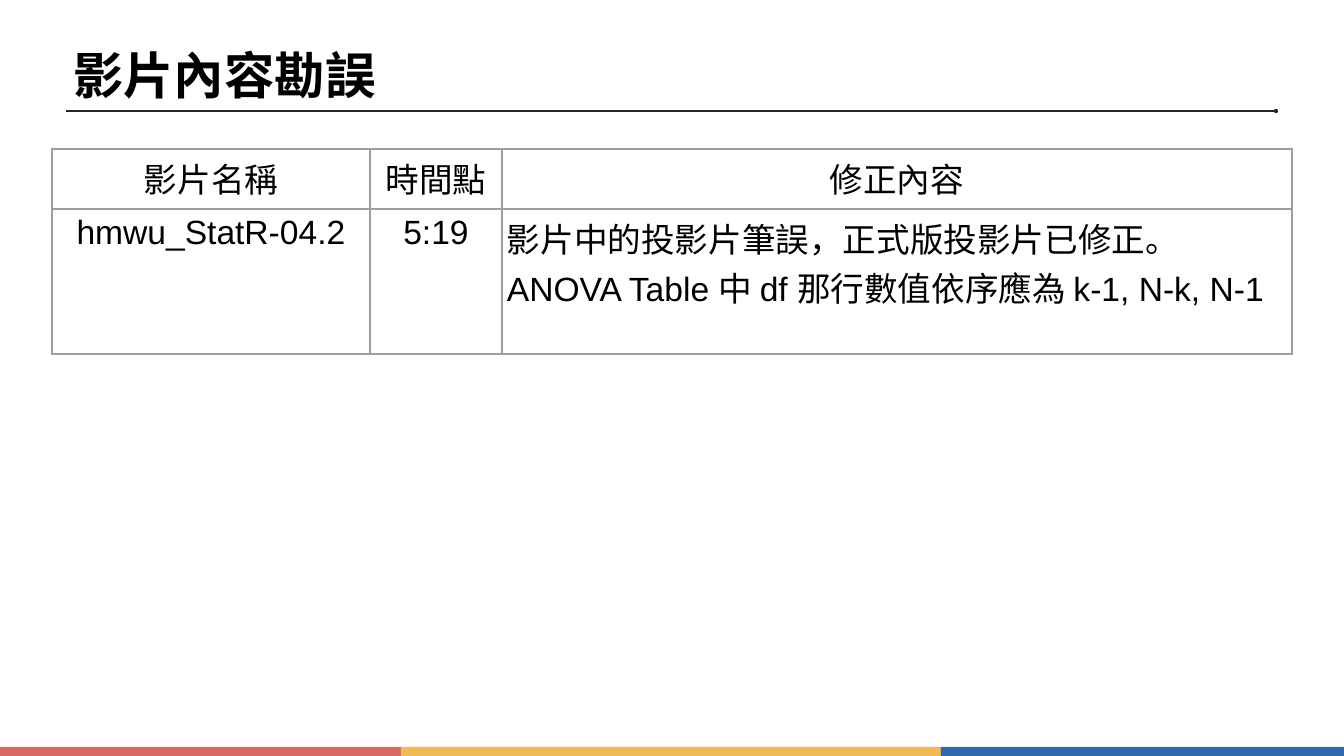
from dataclasses import dataclass
from itertools import pairwise

from lxml import etree
from pptx import Presentation
from pptx.dml.color import RGBColor as Rgb
from pptx.enum.shapes import MSO_CONNECTOR as Connector, MSO_SHAPE as Shape
from pptx.enum.text import MSO_ANCHOR as Anchor, MSO_AUTO_SIZE as AutoSize, PP_ALIGN as Align
from pptx.oxml.ns import qn
from pptx.util import Pt

WIDTH, HEIGHT = 1344, 756
EMU_PER_PX = 914400 / 50.4


def px(length):
    return round(length * EMU_PER_PX)


@dataclass(frozen=True)
class Theme:
    font: str = "Arial"
    text: str = "000000"
    rule: str = "262627"
    border: str = "9E9E9E"
    stripes: tuple = ("D66962", "EFBA57", "3068AA")
    title_size: int = 72
    cell_size: int = 48
    rule_width: int = 2
    border_width: int = 3


def write(frame, text, *, theme, size, bold=False, align=Align.LEFT,
          anchor=Anchor.TOP, inset=5):
    frame.word_wrap = True
    frame.vertical_anchor = anchor
    frame.margin_left = frame.margin_right = px(inset)
    frame.margin_top = frame.margin_bottom = px(inset)
    paragraph = frame.paragraphs[0]
    paragraph.alignment = align
    run = paragraph.add_run()
    run.text = text
    run.font.name = theme.font
    run.font.size = Pt(size)
    run.font.bold = bold
    run.font.color.rgb = Rgb.from_string(theme.text)


class SlideBuilder:
    def __init__(self, slide, theme):
        self.slide = slide
        self.shapes = slide.shapes
        self.theme = theme

    def title(self, text, left, top, width, height):
        title = self.shapes.title
        title.left, title.top, title.width, title.height = map(px, (left, top, width, height))
        title.text_frame.auto_size = AutoSize.NONE
        write(title.text_frame, text, theme=self.theme, size=self.theme.title_size,
              bold=True, anchor=Anchor.MIDDLE, inset=4)

    def stripe(self, color, left, top, width, height):
        stripe = self.shapes.add_shape(Shape.RECTANGLE, *map(px, (left, top, width, height)))
        stripe.shadow.inherit = False
        stripe.fill.solid()
        stripe.fill.fore_color.rgb = Rgb.from_string(color)
        stripe.line.fill.background()

    def rule(self, left, right, y):
        rule = self.shapes.add_connector(Connector.STRAIGHT, *map(px, (left, y, right, y)))
        rule.line.color.rgb = Rgb.from_string(self.theme.rule)
        rule.line.width = Pt(self.theme.rule_width)
        etree.SubElement(rule.line._get_or_add_ln(), qn("a:tailEnd"), type="oval")
        etree.SubElement(rule._element.spPr, qn("a:effectLst"))

    def table(self, rows, left, top, column_widths, row_height):
        frame = self.shapes.add_table(
            len(rows), len(column_widths), px(left), px(top),
            px(sum(column_widths)), px(row_height * len(rows)))
        table = frame.table
        table.first_row = table.horz_banding = False
        for column, width in zip(table.columns, column_widths):
            column.width = px(width)
        for row, texts in zip(table.rows, rows):
            row.height = px(row_height)
            for cell, (text, align) in zip(row.cells, texts):
                self.cell(cell, text, align)

    def cell(self, cell, text, align):
        write(cell.text_frame, text, theme=self.theme, size=self.theme.cell_size, align=align)
        cell.margin_left = cell.margin_right = px(5)
        cell.margin_top = cell.margin_bottom = px(5)
        cell.fill.background()
        properties = cell._tc.get_or_add_tcPr()
        # Borders must come before the cell's fill
        for position, side in enumerate("LRTB"):
            border = etree.Element(qn(f"a:ln{side}"), w=str(Pt(self.theme.border_width)))
            fill = etree.SubElement(border, qn("a:solidFill"))
            etree.SubElement(fill, qn("a:srgbClr"), val=self.theme.border)
            properties.insert(position, border)


def main():
    presentation = Presentation()
    presentation.slide_width, presentation.slide_height = px(WIDTH), px(HEIGHT)
    theme = Theme()
    builder = SlideBuilder(
        presentation.slides.add_slide(presentation.slide_layouts[5]), theme)

    # Footer stripes
    stripe_top = 747
    stripe_edges = (0, 401, 941, WIDTH)
    for color, (left, right) in zip(theme.stripes, pairwise(stripe_edges)):
        builder.stripe(color, left, stripe_top, right - left, HEIGHT - stripe_top)

    # Heading
    builder.rule(66, 1276, 111)
    builder.title("影片內容勘誤", 69, 32, 860, 84)

    # Errata table
    headings = [(name, Align.CENTER) for name in ("影片名稱", "時間點", "修正內容")]
    correction = [
        ("hmwu_StatR-04.2", Align.CENTER),
        ("5:19", Align.CENTER),
        ("影片中的投影片筆誤，正式版投影片已修正。"
         "ANOVA Table 中 df 那行數值依序應為 k-1, N-k, N-1", Align.LEFT),
    ]
    builder.table([headings, correction], 52, 149, (318, 132, 790), 60)

    presentation.save("out.pptx")


if __name__ == "__main__":
    main()
